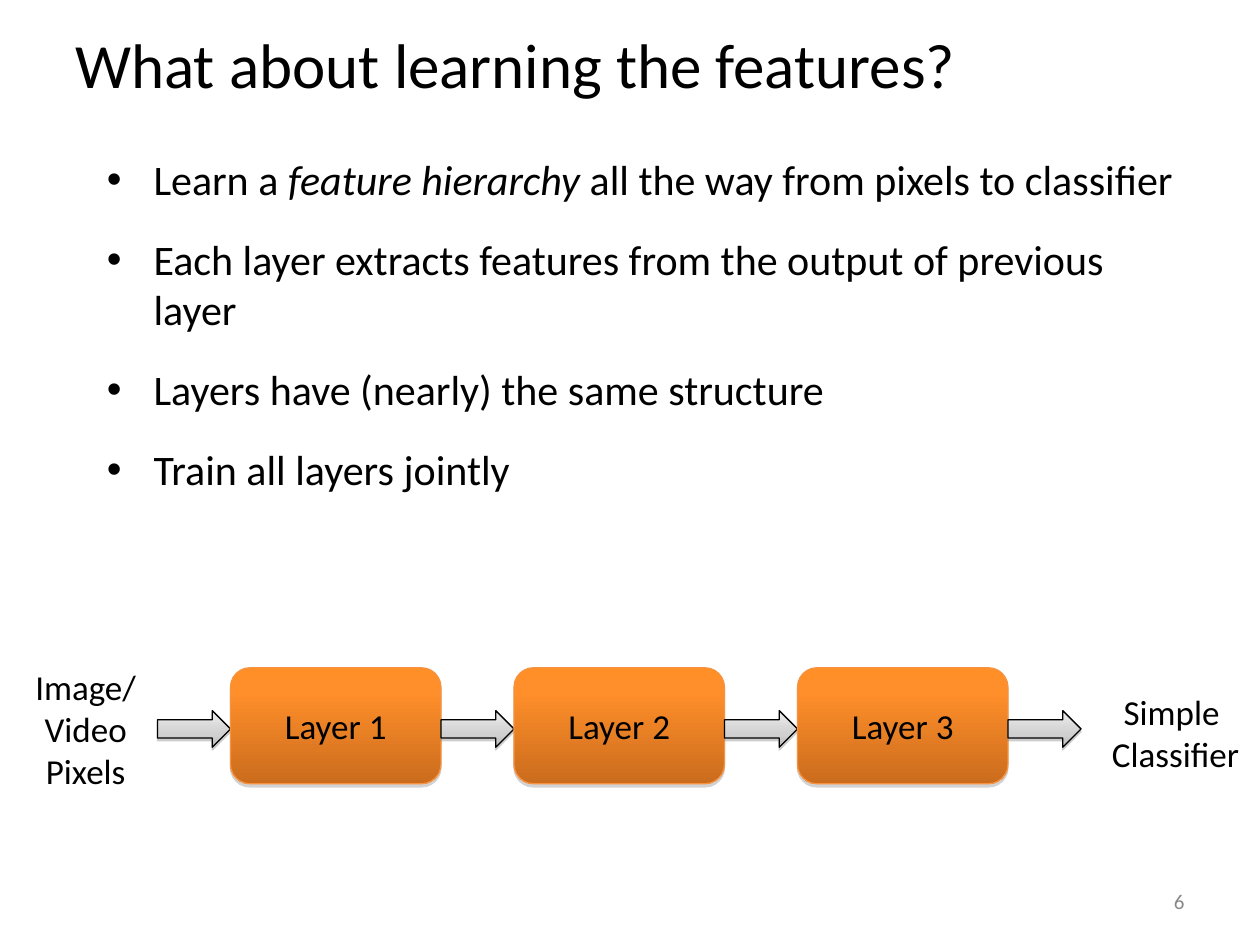
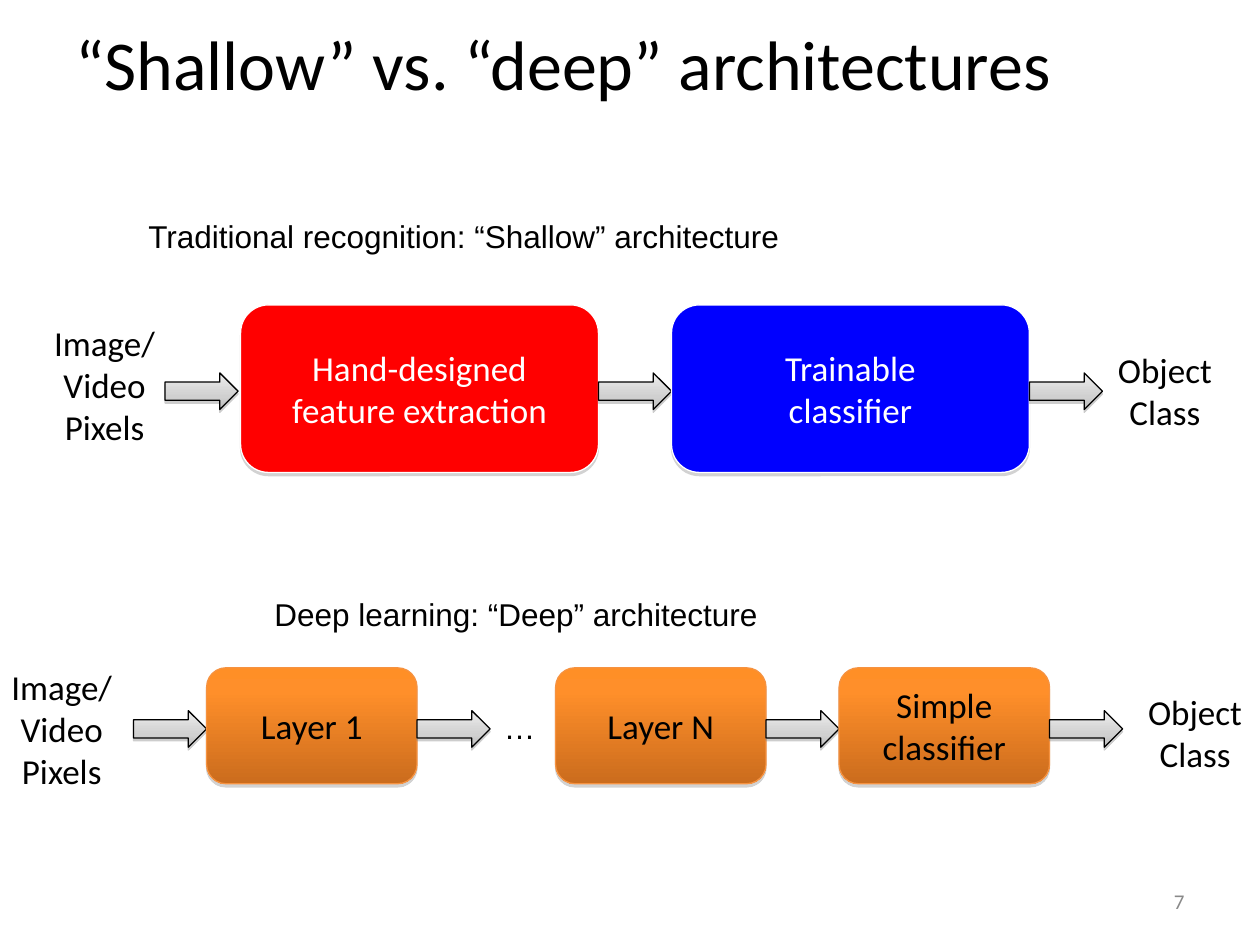
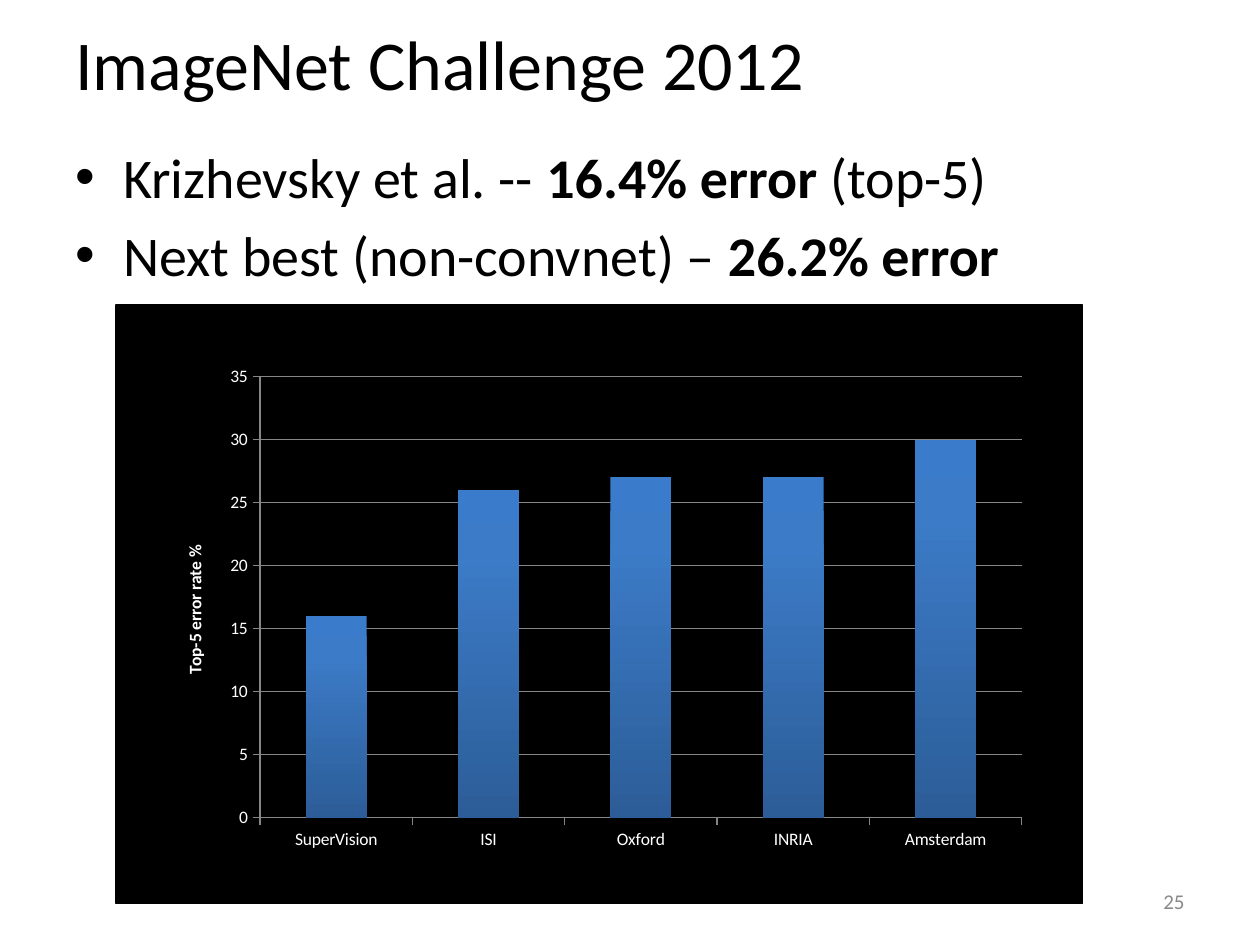
from dataclasses import dataclass

from lxml import etree
from pptx import Presentation
from pptx.chart.data import CategoryChartData
from pptx.dml.color import RGBColor
from pptx.enum.chart import XL_CHART_TYPE, XL_TICK_MARK
from pptx.enum.shapes import MSO_SHAPE
from pptx.enum.text import MSO_ANCHOR, PP_ALIGN
from pptx.oxml.ns import qn
from pptx.util import Inches, Pt

LEFT, CENTER, RIGHT = PP_ALIGN.LEFT, PP_ALIGN.CENTER, PP_ALIGN.RIGHT
TOP, MIDDLE = MSO_ANCHOR.TOP, MSO_ANCHOR.MIDDLE
RECT, ROUNDED = MSO_SHAPE.RECTANGLE, MSO_SHAPE.ROUNDED_RECTANGLE
ARROW = MSO_SHAPE.RIGHT_ARROW
COLUMNS = XL_CHART_TYPE.COLUMN_CLUSTERED
TICK_OUT = XL_TICK_MARK.OUTSIDE


@dataclass(frozen=True)
class Theme:
    font: str = "Calibri"
    caption_font: str = "Arial"
    black: str = "000000"
    white: str = "FFFFFF"
    red: str = "FF0000"
    blue: str = "0000FF"
    grid: str = "868686"
    number: str = "898989"
    shadow: str = "808080"
    orange_line: str = "F69240"
    orange: tuple = ((0, "FF8F26"), (20, "FF8F2A"), (100, "CB6C1D"))
    silver: tuple = ((0, "EDEDED"), (65, "D0D0D0"), (100, "BCBCBC"))
    bars: tuple = ((0, "3A7CCB"), (20, "3C7BC7"), (100, "2C5D98"))
    title_size: int = 40
    long_title_size: int = 36
    headline_size: int = 32
    bullet_size: int = 24
    label_size: int = 20
    caption_size: int = 18
    number_size: int = 12
    chart_size: int = 10


THEME = Theme()
LAYER_WIDTH, LAYER_TOP, LAYER_HEIGHT = 1.67, 5.3, 0.92
ARROW_WIDTH, ARROW_HEIGHT = 0.58, 0.29
LAYER_ARROW_TOP, LAYER_INPUT_TOP = 5.64, 5.23
LAYER_PITCH = LAYER_WIDTH + ARROW_WIDTH
SHALLOW_TOP, SHALLOW_WIDTH, SHALLOW_ARROW_TOP = 2.42, 2.84, 2.96


def add(parent, tag, **attributes):
    return etree.SubElement(parent, qn(tag), {k: str(v) for k, v in attributes.items()})


def write(frame, text, size=THEME.label_size, color=THEME.black, font=THEME.font,
          align=LEFT, bold=False, emphasis=None, bullet_indent=0, before=0, after=0):
    for number, line in enumerate(text.split("\n")):
        paragraph = frame.add_paragraph() if number else frame.paragraphs[0]
        paragraph.alignment = align
        paragraph.space_before = Pt(before if number else 0)
        paragraph.space_after = Pt(after)
        if bullet_indent:
            properties = paragraph._p.get_or_add_pPr()
            properties.set("marL", str(Inches(bullet_indent)))
            properties.set("indent", str(-Inches(bullet_indent)))
            add(properties, "a:buFont", typeface="Arial")
            add(properties, "a:buChar", char="•")
        for part, words in enumerate(line.split("*")):
            for row, piece in enumerate(words.split("\v")):
                if row:
                    paragraph.add_line_break()
                if not piece:
                    continue
                run = paragraph.add_run()
                run.text = piece
                run.font.name, run.font.size = font, Pt(size)
                run.font.color.rgb = RGBColor.from_string(color)
                run.font.bold = bold
                if emphasis and part % 2:
                    setattr(run.font, emphasis, True)


def paint(fill, element, color):
    if isinstance(color, str):
        fill.solid()
        fill.fore_color.rgb = RGBColor.from_string(color)
        return
    fill.gradient()
    fill.gradient_angle = 270
    stops = element.find(".//" + qn("a:gsLst"))
    for stop in list(stops):
        stops.remove(stop)
    for position, shade in color:
        add(add(stops, "a:gs", pos=position * 1000), "a:srgbClr", val=shade)


def place(element, **fractions):
    layout = element.find(qn("c:layout"))
    if layout is None:
        layout = add(element, "c:layout")
        element.insert(0, layout)
    manual = add(layout, "c:manualLayout")
    if "w" in fractions:
        add(manual, "c:layoutTarget", val="inner")
    for side in "xy":
        add(manual, f"c:{side}Mode", val="edge")
    for side, fraction in fractions.items():
        add(manual, f"c:{side}", val=fraction)


class Deck:
    def __init__(self, theme):
        self.theme = theme
        self.presentation = Presentation()
        self.presentation.slide_width = Inches(10)
        self.presentation.slide_height = Inches(7.5)
        self.slide = None

    def start(self, title, number, size=THEME.title_size):
        layout = self.presentation.slide_layouts[6]
        self.slide = self.presentation.slides.add_slide(layout)
        self.text(title, 0.5, 0, 9, 1, anchor=MIDDLE, size=size)
        self.text(number, 7.17, 6.95, 2.33, 0.4, anchor=MIDDLE, align=RIGHT,
                  size=self.theme.number_size, color=self.theme.number)

    def text(self, words, left, top, width, height, anchor=TOP, **style):
        box = self.slide.shapes.add_textbox(*map(Inches, (left, top, width, height)))
        box.text_frame.word_wrap = True
        box.text_frame.vertical_anchor = anchor
        write(box.text_frame, words, **style)

    def caption(self, words, left, top, width):
        self.text(words, left, top, width, 0.5, size=self.theme.caption_size,
                  font=self.theme.caption_font)

    def shape(self, kind, left, top, width, height, fill, line, shadow=None):
        shape = self.slide.shapes.add_shape(kind, *map(Inches, (left, top, width, height)))
        paint(shape.fill, shape.element, fill)
        shape.line.color.rgb = RGBColor.from_string(line)
        shape.line.width = Pt(0.75)
        shape.shadow.inherit = False
        if shadow:
            opacity, distance = shadow
            effects = shape.element.spPr.find(qn("a:effectLst"))
            cast = add(effects, "a:outerShdw", blurRad=0, dist=Pt(distance),
                       dir=5400000, rotWithShape=0)
            tint = add(cast, "a:srgbClr", val=self.theme.shadow)
            add(tint, "a:alpha", val=opacity * 1000)
        return shape

    def block(self, words, left, top, width, height, fill, line, color):
        block = self.shape(ROUNDED, left, top, width, height, fill, line, (35, 1.8))
        block.text_frame.word_wrap = True
        block.text_frame.vertical_anchor = MIDDLE
        write(block.text_frame, words, color=color, align=CENTER)

    def arrow(self, left, top):
        self.shape(ARROW, left, top, ARROW_WIDTH, ARROW_HEIGHT,
                   self.theme.silver, self.theme.black, (38, 1.6))

    def pixels(self, left, top, arrow_left, arrow_top):
        self.text("Image/ Video\nPixels", left, top, 1.48, 1.11, align=CENTER)
        self.arrow(arrow_left, arrow_top)

    def layer(self, words, left):
        self.block(words, left, LAYER_TOP, LAYER_WIDTH, LAYER_HEIGHT,
                   self.theme.orange, self.theme.orange_line, self.theme.black)
        self.arrow(left + LAYER_WIDTH, LAYER_ARROW_TOP)

    def shallow_step(self, words, left, fill):
        self.block(words, left, SHALLOW_TOP, SHALLOW_WIDTH, 1.33,
                   fill, self.theme.white, self.theme.white)
        self.arrow(left + SHALLOW_WIDTH, SHALLOW_ARROW_TOP)

    def column_chart(self, rates, axis_title, left, top, width, height):
        theme = self.theme
        data = CategoryChartData()
        data.categories = list(rates)
        data.add_series("Series 1", list(rates.values()))
        chart = self.slide.shapes.add_chart(
            COLUMNS, *map(Inches, (left, top, width, height)), data).chart
        chart.has_legend = chart.has_title = False
        chart.font.name, chart.font.size = theme.font, Pt(theme.chart_size)
        chart.font.color.rgb = RGBColor.from_string(theme.white)

        plot = chart.plots[0]
        plot.gap_width = 150
        plot.vary_by_categories = False
        series = plot.series[0]
        series.invert_if_negative = False
        paint(series.format.fill, series.format.element, theme.bars)

        values = chart.value_axis
        values.minimum_scale, values.maximum_scale, values.major_unit = 0, 35, 5
        values.has_major_gridlines = True
        for axis in (chart.category_axis, values):
            axis.major_tick_mark = TICK_OUT
        for ruled in (chart.category_axis, values, values.major_gridlines):
            ruled.format.line.color.rgb = RGBColor.from_string(theme.grid)
            ruled.format.line.width = Pt(0.75)

        heading = values.axis_title
        write(heading.text_frame, axis_title, size=theme.chart_size,
              color=theme.white, bold=True, align=CENTER)
        rotation = heading.element.find(".//" + qn("a:bodyPr"))
        rotation.set("rot", "-5400000")
        rotation.set("vert", "horz")
        place(heading.element, x=0.03, y=0.37)

        body = chart.element.find(qn("c:chart"))
        place(body.find(qn("c:plotArea")), x=0.12, y=0.04, w=0.86, h=0.88)
        background = add(chart.element, "c:spPr")
        add(background, "a:noFill")
        add(add(background, "a:ln"), "a:noFill")
        body.addnext(background)


def feature_learning(deck):
    deck.start("What about learning the features?", "6", size=THEME.long_title_size)
    deck.text("Learn a *feature hierarchy* all the way from pixels to classifier\n"
              "Each layer extracts features from the output of previous layer\n"
              "Layers have (nearly) the same structure\n"
              "Train all layers jointly",
              0.75, 1.17, 8.75, 5.58, size=THEME.bullet_size, emphasis="italic",
              bullet_indent=0.37, before=4.8, after=12)
    deck.pixels(-0.06, LAYER_INPUT_TOP, 1.25, LAYER_ARROW_TOP)
    for index in range(3):
        deck.layer(f"Layer {index + 1}", 1.83 + index * LAYER_PITCH)
    deck.text("Simple \vClassifier", 8.65, 5.43, 1.36, 0.77, align=CENTER)


def architectures(deck):
    deck.start("“Shallow” vs. “deep” architectures", "7")
    deck.caption("Traditional recognition: “Shallow” architecture", 1.08, 1.67, 7.66)
    deck.pixels(0.09, 2.5, 1.31, SHALLOW_ARROW_TOP)
    deck.shallow_step("Hand-designed\vfeature extraction", 1.91, THEME.red)
    deck.shallow_step("Trainable\vclassifier", 5.33, THEME.blue)
    deck.text("Object\vClass", 8.74, 2.72, 1.01, 0.77, align=CENTER)

    deck.caption("Deep learning: “Deep” architecture", 2.08, 4.67, 5.81)
    deck.pixels(-0.25, LAYER_INPUT_TOP, 1.06, LAYER_ARROW_TOP)
    deck.layer("Layer 1", 1.64)
    deck.caption("…", 3.9, 5.57, 0.54)
    deck.layer("Layer N", 4.41)
    deck.layer("Simple classifier", 4.41 + LAYER_PITCH)
    deck.text("Object Class", 8.8, 5.43, 1.37, 0.77, align=CENTER)


def challenge_results(deck):
    deck.start("ImageNet Challenge 2012", "25")
    deck.shape(RECT, 0.92, 2.42, 7.67, 4.75, THEME.black, THEME.black)
    deck.text("Krizhevsky et al. -- *16.4% error *(top-5)\n"
              "Next best (non-convnet) – *26.2% error*",
              0.5, 1.08, 9, 5.62, size=THEME.headline_size, emphasis="bold",
              bullet_indent=0.38, before=6.4)
    error_rates = {"SuperVision": 16, "ISI": 26, "Oxford": 27,
                   "INRIA": 27, "Amsterdam": 30}
    deck.column_chart(error_rates, "Top-5 error rate %", 1.22, 2.83, 7.03, 3.98)


def main():
    deck = Deck(THEME)
    feature_learning(deck)
    architectures(deck)
    challenge_results(deck)
    deck.presentation.save("out.pptx")


if __name__ == "__main__":
    main()
